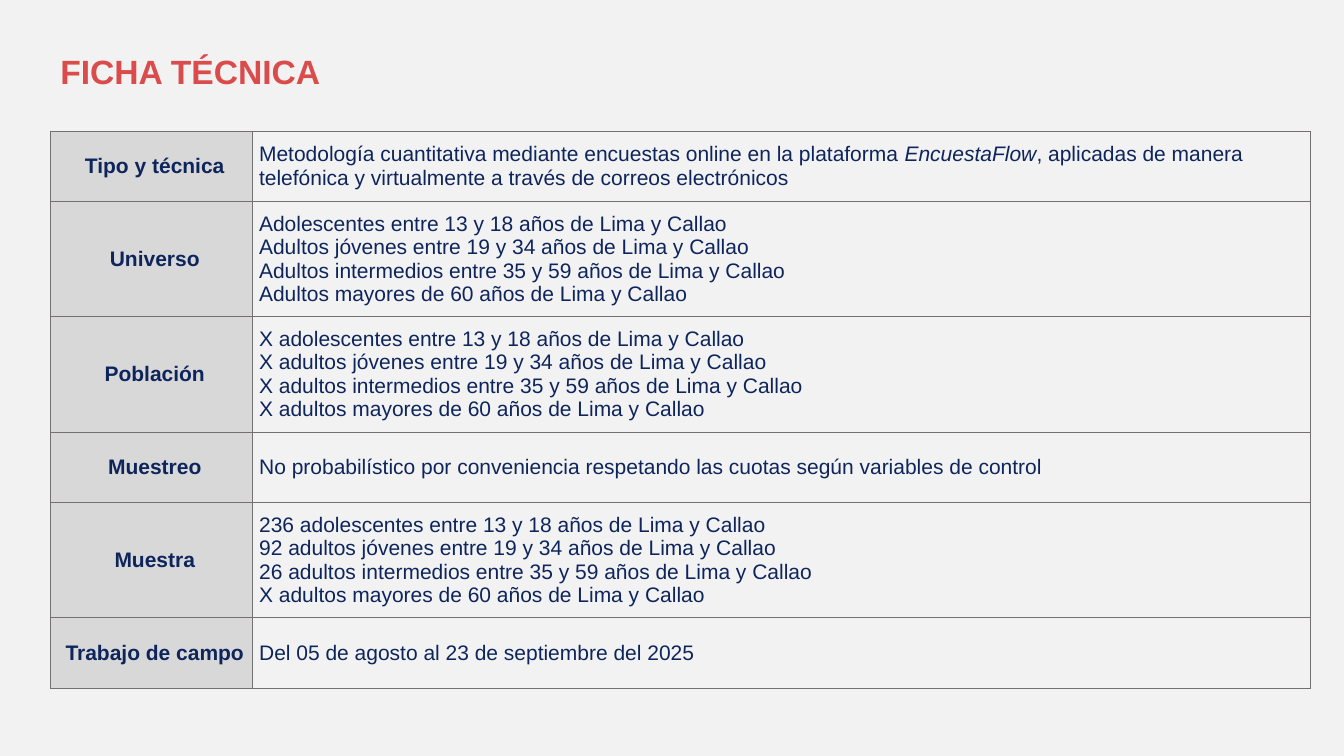
from pptx import Presentation
from pptx import util as u
from pptx.dml.color import RGBColor
from pptx.enum import text
from pptx.oxml import parse_xml
from pptx.oxml.ns import nsdecls

BACKGROUND = RGBColor(0xF2, 0xF2, 0xF2)
CORAL = RGBColor(0xDA, 0x4C, 0x4C)
NAVY = RGBColor(0x0E, 0x25, 0x5C)
LABEL_GREY = RGBColor(0xD8, 0xD8, 0xD8)
BORDER_GREY = RGBColor(0x75, 0x70, 0x70)

AGE_GROUPS = [
    "adolescentes entre 13 y 18 años",
    "adultos jóvenes entre 19 y 34 años",
    "adultos intermedios entre 35 y 59 años",
    "adultos mayores de 60 años",
]


def age_lines(counts):
    return "\n".join(f"{count} {group} de Lima y Callao" for count, group in zip(counts, AGE_GROUPS))


DATASHEET = [
    ("Tipo y técnica", [
        "Metodología cuantitativa mediante encuestas online en la plataforma ",
        "EncuestaFlow",
        ", aplicadas de manera telefónica y virtualmente a través de correos electrónicos",
    ]),
    ("Universo", "\n".join(f"{group.capitalize()} de Lima y Callao" for group in AGE_GROUPS)),
    ("Población", age_lines("XXXX")),
    ("Muestreo", "No probabilístico por conveniencia respetando las cuotas según variables de control"),
    ("Muestra", age_lines(["236", "92", "26", "X"])),
    ("Trabajo de campo", "Del 05 de agosto al 23 de septiembre del 2025"),
]


class SlideBuilder:
    font_name = "Arial"
    body_size = u.Pt(15)
    inset = u.Cm(0.18)
    border_width = u.Pt(0.5)

    def __init__(self, slide):
        self.slide = slide
        slide.background.fill.solid()
        slide.background.fill.fore_color.rgb = BACKGROUND

    def style(self, paragraph, size, color, bold):
        font = paragraph.font
        font.name, font.size, font.bold = self.font_name, size, bold
        font.color.rgb = color

    def title(self, wording, left, top, width, height):
        frame = self.slide.shapes.add_textbox(left, top, width, height).text_frame
        frame.word_wrap = True
        frame.vertical_anchor = text.MSO_ANCHOR.MIDDLE
        heading = frame.paragraphs[0]
        heading.text = wording
        heading.line_spacing = 0.9
        self.style(heading, u.Pt(24), CORAL, True)

    def cell(self, cell, content, is_label):
        cell.margin_left = cell.margin_right = 0
        cell.margin_top = cell.margin_bottom = self.inset
        cell.vertical_anchor = text.MSO_ANCHOR.MIDDLE
        paragraph = cell.text_frame.paragraphs[0]
        if isinstance(content, str):
            paragraph.text = content
        else:
            for index, part in enumerate(content):
                run = paragraph.add_run()
                run.text = part
                if index % 2:
                    run.font.italic = True
        paragraph.alignment = text.PP_ALIGN.CENTER if is_label else text.PP_ALIGN.LEFT
        paragraph.space_before = paragraph.space_after = u.Pt(5)
        self.style(paragraph, self.body_size, NAVY, is_label)
        properties = paragraph._p.get_or_add_pPr()
        properties.set("marL", str(self.inset))
        properties.set("indent", "0")
        self.borders(cell)
        if is_label:
            cell.fill.solid()
            cell.fill.fore_color.rgb = LABEL_GREY
        else:
            cell.fill.background()

    def borders(self, cell):
        properties = cell._tc.get_or_add_tcPr()
        for side in ("lnL", "lnR", "lnT", "lnB"):
            properties.append(parse_xml(
                f'<a:{side} {nsdecls("a")} w="{self.border_width}"><a:solidFill>'
                f'<a:srgbClr val="{BORDER_GREY}"/></a:solidFill></a:{side}>'))

    def table(self, rows, left, top, column_widths, row_height):
        table = self.slide.shapes.add_table(
            len(rows), len(column_widths), left, top,
            sum(column_widths), row_height * len(rows)).table
        table.first_row = table.horz_banding = False
        for column, width in zip(table.columns, column_widths):
            column.width = width
        for row, contents in zip(table.rows, rows):
            row.height = row_height
            for index, content in enumerate(contents):
                self.cell(row.cells[index], content, index == 0)


def main():
    presentation = Presentation()
    presentation.slide_width = u.Cm(33.87)
    presentation.slide_height = u.Cm(19.05)
    builder = SlideBuilder(presentation.slides.add_slide(presentation.slide_layouts[6]))
    builder.title("FICHA TÉCNICA", u.Cm(1.27), u.Cm(0.94), u.Cm(26.75), u.Cm(1.85))
    builder.table(DATASHEET, u.Cm(1.27), u.Cm(3.3), [u.Cm(5.08), u.Cm(26.67)], u.Cm(1.78))
    presentation.save("out.pptx")


if __name__ == "__main__":
    main()
